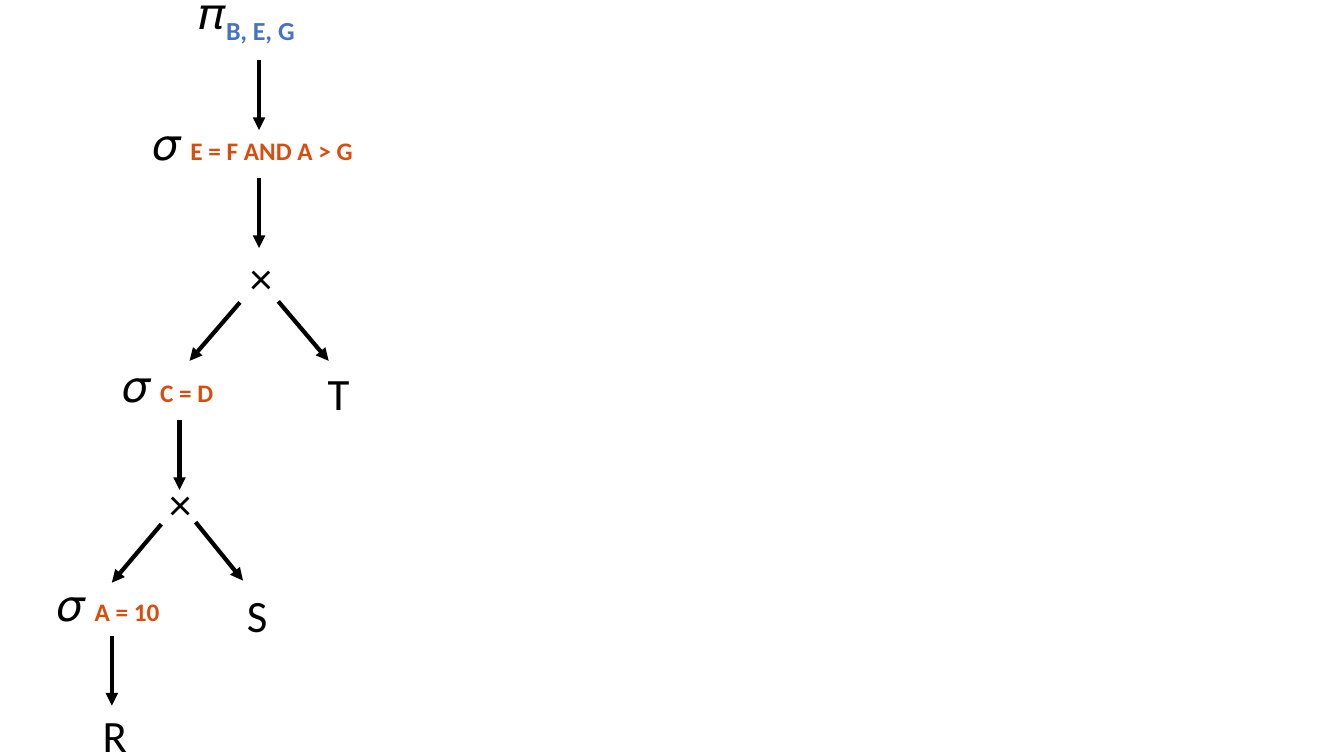
from lxml import etree
from pptx import Presentation
from pptx.dml.color import RGBColor
from pptx.enum.shapes import MSO_CONNECTOR
from pptx.enum.text import MSO_AUTO_SIZE
from pptx.oxml.ns import qn
from pptx.util import Inches, Pt

FONT = "Calibri"
BLACK, BLUE, ORANGE = "000000", "4472C4", "DA4C0C"
PI, SIGMA = "\U0001D70B", "\U0001D70E "
LABEL_HEIGHT, LEAF_WIDTH, DROP = 0.64, 0.38, 0.69

# Operators: symbol, condition, left, top, width
PROJECTION = (PI, "B, E, G", 1.88, -0.2, 1.32)
SELECTIONS = [
    (SIGMA, "E = F AND A > G", 1.42, 1.1, 2.42),
    (SIGMA, "C = D", 1.12, 3.5, 1.15),
    (SIGMA, "A = 10", 0.47, 5.67, 1.27),
]
# Products and relations: text, left, top
LEAVES = [("×", 2.38, 2.43), ("T", 3.15, 3.58), ("×", 1.58, 4.67),
          ("S", 2.35, 5.78), ("R", 0.92, 6.97)]
# Vertical arrows: x, top
DROPS = [(2.57, 0.6), (2.57, 1.77), (1.78, 4.17), (1.11, 6.31)]
# Branches below each product: x1, y1, x2, y2
BRANCHES = [(2.38, 3.0, 1.88, 3.58), (2.76, 2.99, 3.26, 3.58),
            (1.6, 5.2, 1.11, 5.78), (1.94, 5.18, 2.41, 5.76)]

prs = Presentation()
prs.slide_width, prs.slide_height = Inches(13.33), Inches(7.5)
slide = prs.slides.add_slide(prs.slide_layouts[6])


def rgb(value):
    return RGBColor.from_string(value)


def add_label(left, top, width):
    box = slide.shapes.add_textbox(Inches(left), Inches(top), Inches(width), Inches(LABEL_HEIGHT))
    frame = box.text_frame
    frame.word_wrap = True
    frame.auto_size = MSO_AUTO_SIZE.SHAPE_TO_FIT_TEXT
    return frame.paragraphs[0]


def add_run(paragraph, text, color=BLACK, size=32, bold=False):
    run = paragraph.add_run()
    run.text = text
    font = run.font
    font.name, font.size, font.bold = FONT, Pt(size), bold
    font.color.rgb = rgb(color)
    return run


def add_arrow(x1, y1, x2, y2):
    arrow = slide.shapes.add_connector(
        MSO_CONNECTOR.STRAIGHT, Inches(x1), Inches(y1), Inches(x2), Inches(y2))
    arrow.line.color.rgb = rgb(BLACK)
    arrow.line.width = Pt(3)
    etree.SubElement(arrow.line._get_or_add_ln(), qn("a:tailEnd"), type="triangle")
    etree.SubElement(arrow._element.spPr, qn("a:effectLst"))


# Projection with its subscript
symbol, columns, *place = PROJECTION
label = add_label(*place)
add_run(label, symbol, bold=True)
subscript = add_run(label, columns, BLUE, bold=True)
subscript._r.get_or_add_rPr().set("baseline", "-25000")

# Selections
for symbol, condition, *place in SELECTIONS:
    label = add_label(*place)
    add_run(label, symbol, bold=True)
    add_run(label, condition, ORANGE, 18, bold=True)

# Products and relations
for text, left, top in LEAVES:
    add_run(add_label(left, top, LEAF_WIDTH), text)

# Arrows
for x, top in DROPS:
    add_arrow(x, top, x, top + DROP)
for branch in BRANCHES:
    add_arrow(*branch)

prs.save("out.pptx")
